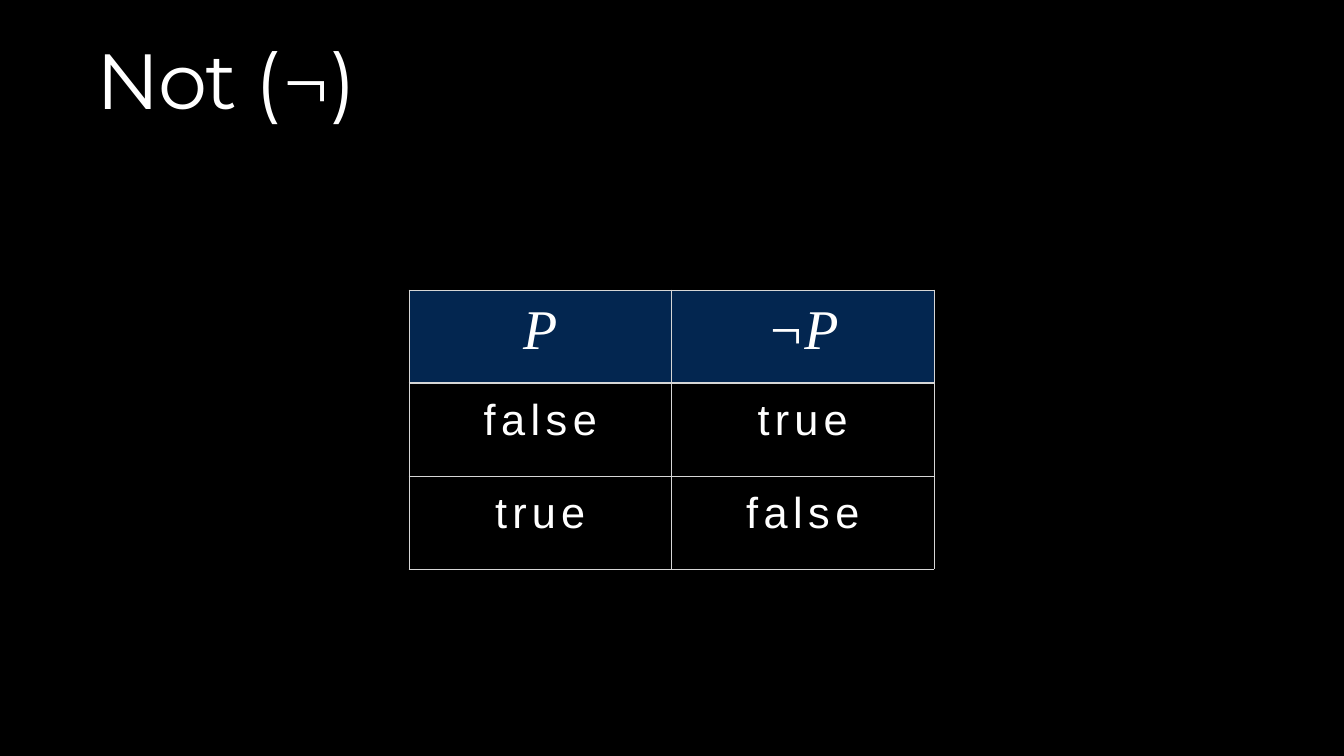
from dataclasses import dataclass

from lxml import etree
from pptx import Presentation
from pptx.dml.color import RGBColor
from pptx.enum.text import MSO_ANCHOR, MSO_AUTO_SIZE, PP_ALIGN
from pptx.oxml.ns import qn
from pptx.util import Emu, Pt

SCALE = 14961
WIDE, HIGH = 1344, 756
LEFT, CENTER = PP_ALIGN.LEFT, PP_ALIGN.CENTER
TOP = MSO_ANCHOR.TOP
GROW = MSO_AUTO_SIZE.SHAPE_TO_FIT_TEXT
BLACK, WHITE, NAVY, GRAY = "000000", "FFFFFF", "032650", "D6D6D6"
SANS, SERIF, BRAND = "Arial", "Times New Roman", "Montserrat"
THIN, THICK = 1, 2.25


@dataclass
class Piece:
    text: str
    font: str
    size: float
    space: float = 0
    slant: bool = False


@dataclass
class Row:
    cells: list[Piece]
    fill: str
    inset: int
    upper: float = THIN
    lower: float = THIN


TITLE = [
    Piece("Not ", BRAND, 92, -2.5),
    Piece("(", BRAND, 92, 3.2),
    Piece("¬", SERIF, 92, 3.2),
    Piece(")", BRAND, 92, 3.2),
]
FALSE = Piece("false", SANS, 51, 6.5)
TRUE = Piece("true", SANS, 51, 6.1)
ROWS = [
    Row([Piece("P", SERIF, 66, 0, True), Piece("¬P", SERIF, 66, -0.1, True)],
        NAVY, 10, lower=THICK),
    Row([FALSE, TRUE], BLACK, 13, upper=THICK),
    Row([TRUE, FALSE], BLACK, 13),
]


def px(count: int) -> Emu:
    return Emu(count * SCALE)


def color(code: str) -> RGBColor:
    return RGBColor.from_string(code)


def write(para, pieces: list[Piece], align) -> None:
    para.alignment = align
    for piece in pieces:
        run = para.add_run()
        run.text = piece.text
        font = run.font
        font.name, font.size = piece.font, Pt(piece.size)
        font.bold, font.italic = False, piece.slant
        font.color.rgb = color(WHITE)
        run._r.get_or_add_rPr().set("spc", str(round(piece.space * 100)))


def border(cell, side: str, width: float) -> None:
    line = etree.SubElement(cell._tc.get_or_add_tcPr(), qn(f"a:ln{side}"), w=str(Pt(width)))
    fill = etree.SubElement(line, qn("a:solidFill"))
    etree.SubElement(fill, qn("a:srgbClr"), val=GRAY)


def draw_back(slide) -> None:
    path = slide.shapes.build_freeform(WIDE, 0, scale=SCALE)
    path.add_line_segments([(0, 0), (0, HIGH), (WIDE, HIGH)], close=True)
    back = path.convert_to_shape()
    back.shadow.inherit = False
    back.fill.solid()
    back.fill.fore_color.rgb = color(BLACK)
    back.line.fill.background()
    slide.shapes.title._element.addprevious(back._element)


def draw_title(slide) -> None:
    title = slide.shapes.title
    title.left, title.top, title.width, title.height = map(px, (95, 30, 284, 96))
    frame = title.text_frame
    frame.margin_right = frame.margin_bottom = 0
    frame.margin_left, frame.margin_top = px(2), px(1)
    frame.vertical_anchor = TOP
    frame.word_wrap = True
    frame.auto_size = GROW
    write(frame.paragraphs[0], TITLE, LEFT)


def draw_cell(cell, row: Row, piece: Piece) -> None:
    cell.margin_left = cell.margin_right = cell.margin_bottom = 0
    cell.margin_top = px(row.inset)
    cell.vertical_anchor = TOP
    for side, width in (("L", THIN), ("R", THIN), ("T", row.upper), ("B", row.lower)):
        border(cell, side, width)
    cell.fill.solid()
    cell.fill.fore_color.rgb = color(row.fill)
    write(cell.text_frame.paragraphs[0], [piece], CENTER)


def draw_table(slide) -> None:
    table = slide.shapes.add_table(
        len(ROWS), 2, px(409), px(290), px(525), px(279)).table
    table.horz_banding = False
    for r, row in enumerate(ROWS):
        for c, piece in enumerate(row.cells):
            draw_cell(table.cell(r, c), row, piece)


def main() -> None:
    deck = Presentation()
    deck.slide_width, deck.slide_height = px(WIDE), px(HIGH)
    slide = deck.slides.add_slide(deck.slide_layouts[5])
    draw_back(slide)
    draw_title(slide)
    draw_table(slide)
    deck.save("out.pptx")


if __name__ == "__main__":
    main()
